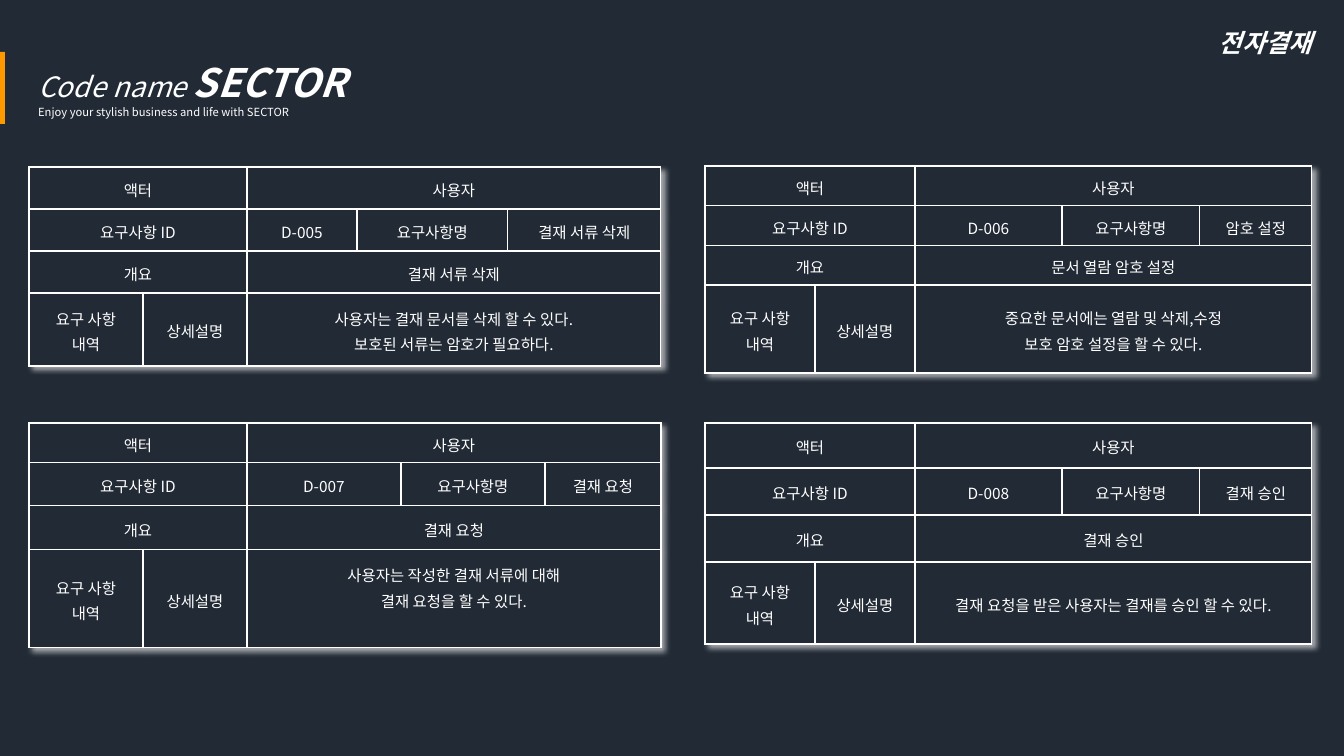
from dataclasses import dataclass

from lxml.etree import SubElement
from pptx import Presentation
from pptx.dml.color import RGBColor
from pptx.enum.shapes import MSO_SHAPE
from pptx.enum.text import MSO_ANCHOR, MSO_AUTO_SIZE, PP_ALIGN
from pptx.oxml import parse_xml
from pptx.oxml.ns import nsdecls, qn
from pptx.util import Inches, Pt

PIXELS_PER_INCH = 100.8


@dataclass(frozen=True)
class Theme:
    font: str = "Noto Sans CJK KR"
    background: str = "222A35"
    accent: str = "FF9900"
    text: str = "FFFFFF"
    border: float = 1
    code_size: float = 20
    name_size: float = 28
    tagline_size: float = 8
    section_size: float = 18
    cell_size: float = 11
    cell_spacing: float = 1.15
    cell_margin: int = 7


@dataclass(frozen=True)
class Requirement:
    code: str
    name: str
    summary: str
    details: tuple
    left: int
    top: int
    columns: tuple
    rows: tuple
    detail_lift: int = 0


THEME = Theme()

RIGHT_COLUMNS = (110, 100, 147, 138, 112)

REQUIREMENTS = (
    Requirement(
        "D-005", "결재 서류 삭제", "결재 서류 삭제",
        ("사용자는 결재 문서를 삭제 할 수 있다.", "보호된 서류는 암호가 필요하다."),
        29, 167, (114, 104, 110, 151, 153), (42, 42, 42, 73),
    ),
    Requirement(
        "D-006", "암호 설정", "문서 열람 암호 설정",
        ("중요한 문서에는 열람 및 삭제,수정", "보호 암호 설정을 할 수 있다."),
        705, 166, RIGHT_COLUMNS, (37, 37, 38, 88),
    ),
    Requirement(
        "D-007", "결재 요청", "결재 요청",
        ("사용자는 작성한 결재 서류에 대해", "결재 요청을 할 수 있다."),
        29, 423, (114, 104, 154, 144, 116), (37, 43, 44, 98), 25,
    ),
    Requirement(
        "D-008", "결재 승인", "결재 승인",
        ("결재 요청을 받은 사용자는 결재를 승인 할 수 있다.",),
        705, 423, RIGHT_COLUMNS, (45, 47, 47, 82),
    ),
)


def px(length):
    return Inches(length / PIXELS_PER_INCH)


def color(value):
    return RGBColor.from_string(value)


def format_para(para, size, align=PP_ALIGN.LEFT, spacing=1.0, bold=False, italic=False):
    para.alignment = align
    para.line_spacing = spacing
    font = para.font
    font.size = Pt(size)
    font.bold = bold
    font.italic = italic
    font.color.rgb = color(THEME.text)
    font.name = THEME.font
    defaults = para._p.find(".//" + qn("a:defRPr"))
    SubElement(defaults, qn("a:ea"), typeface=THEME.font)


def place(shape, left, top, width, height):
    shape.left, shape.top = px(left), px(top)
    shape.width, shape.height = px(width), px(height)


def add_accent_bar(page):
    bar = page.shapes.add_shape(MSO_SHAPE.RECTANGLE, 0, px(52), px(5), px(72))
    bar.shadow.inherit = False
    bar.fill.solid()
    bar.fill.fore_color.rgb = color(THEME.accent)
    bar.line.fill.background()


def add_title(page):
    title = page.shapes.title
    place(title, 28, 22, 608, 102)
    frame = title.text_frame
    frame.word_wrap = True
    frame.auto_size = MSO_AUTO_SIZE.NONE
    frame.vertical_anchor = MSO_ANCHOR.BOTTOM
    heading = frame.paragraphs[0]
    format_para(heading, THEME.code_size, italic=True)
    heading.add_run().text = "Code name "
    name = heading.add_run()
    name.text = "SECTOR"
    name.font.size = Pt(THEME.name_size)
    name.font.bold = True
    tagline = frame.add_paragraph()
    tagline.text = "Enjoy your stylish business and life with SECTOR"
    format_para(tagline, THEME.tagline_size)


def add_section_label(page):
    box = page.shapes.add_textbox(px(1209), px(22), px(122), px(40))
    frame = box.text_frame
    frame.word_wrap = False
    frame.vertical_anchor = MSO_ANCHOR.MIDDLE
    para = frame.paragraphs[0]
    para.text = "전자결재"
    format_para(para, THEME.section_size, bold=True, italic=True)


def style_cell(cell):
    cell.fill.solid()
    cell.fill.fore_color.rgb = color(THEME.background)
    cell.vertical_anchor = MSO_ANCHOR.MIDDLE
    margin = px(THEME.cell_margin)
    cell.margin_left = cell.margin_right = margin
    cell.margin_top = cell.margin_bottom = margin
    properties = cell._tc.get_or_add_tcPr()
    for index, side in enumerate(("lnL", "lnR", "lnT", "lnB")):
        properties.insert(index, parse_xml(
            f'<a:{side} {nsdecls("a")} w="{Pt(THEME.border)}"><a:solidFill>'
            f'<a:srgbClr val="{THEME.text}"/></a:solidFill></a:{side}>'
        ))


def write_cell(cell, *lines):
    cell.text = "\n".join(lines)
    for para in cell.text_frame.paragraphs:
        format_para(para, THEME.cell_size, PP_ALIGN.CENTER, THEME.cell_spacing)


def add_table_shadow(table):
    table._tbl.tblPr.insert(0, parse_xml(
        f'<a:effectLst {nsdecls("a")}><a:outerShdw blurRad="50800" dist="38100" '
        f'dir="2700000" algn="tl" rotWithShape="0"><a:srgbClr val="{THEME.text}">'
        '<a:alpha val="60000"/></a:srgbClr></a:outerShdw></a:effectLst>'
    ))


def add_requirement_table(page, item):
    table = page.shapes.add_table(
        len(item.rows), len(item.columns), px(item.left), px(item.top),
        px(sum(item.columns)), px(sum(item.rows)),
    ).table
    table.first_row = table.horz_banding = False
    add_table_shadow(table)
    for column, width in zip(table.columns, item.columns):
        column.width = px(width)
    for row, height in zip(table.rows, item.rows):
        row.height = px(height)
    for cell in table.iter_cells():
        style_cell(cell)
    for row in range(3):
        table.cell(row, 0).merge(table.cell(row, 1))
    for row in (0, 2, 3):
        table.cell(row, 2).merge(table.cell(row, 4))

    contents = (
        {0: ("액터",), 2: ("사용자",)},
        {0: ("요구사항 ID",), 2: (item.code,), 3: ("요구사항명",), 4: (item.name,)},
        {0: ("개요",), 2: (item.summary,)},
        {0: ("요구 사항", "내역"), 1: ("상세설명",), 2: item.details},
    )
    for row, cells in enumerate(contents):
        for column, lines in cells.items():
            write_cell(table.cell(row, column), *lines)
    table.cell(3, 2).margin_bottom = px(THEME.cell_margin + item.detail_lift)


def main():
    deck = Presentation()
    deck.slide_width, deck.slide_height = px(1344), px(756)
    page = deck.slides.add_slide(deck.slide_layouts[5])
    page.background.fill.solid()
    page.background.fill.fore_color.rgb = color(THEME.background)
    add_accent_bar(page)
    add_title(page)
    for item in REQUIREMENTS:
        add_requirement_table(page, item)
    add_section_label(page)
    deck.save("out.pptx")


main()
